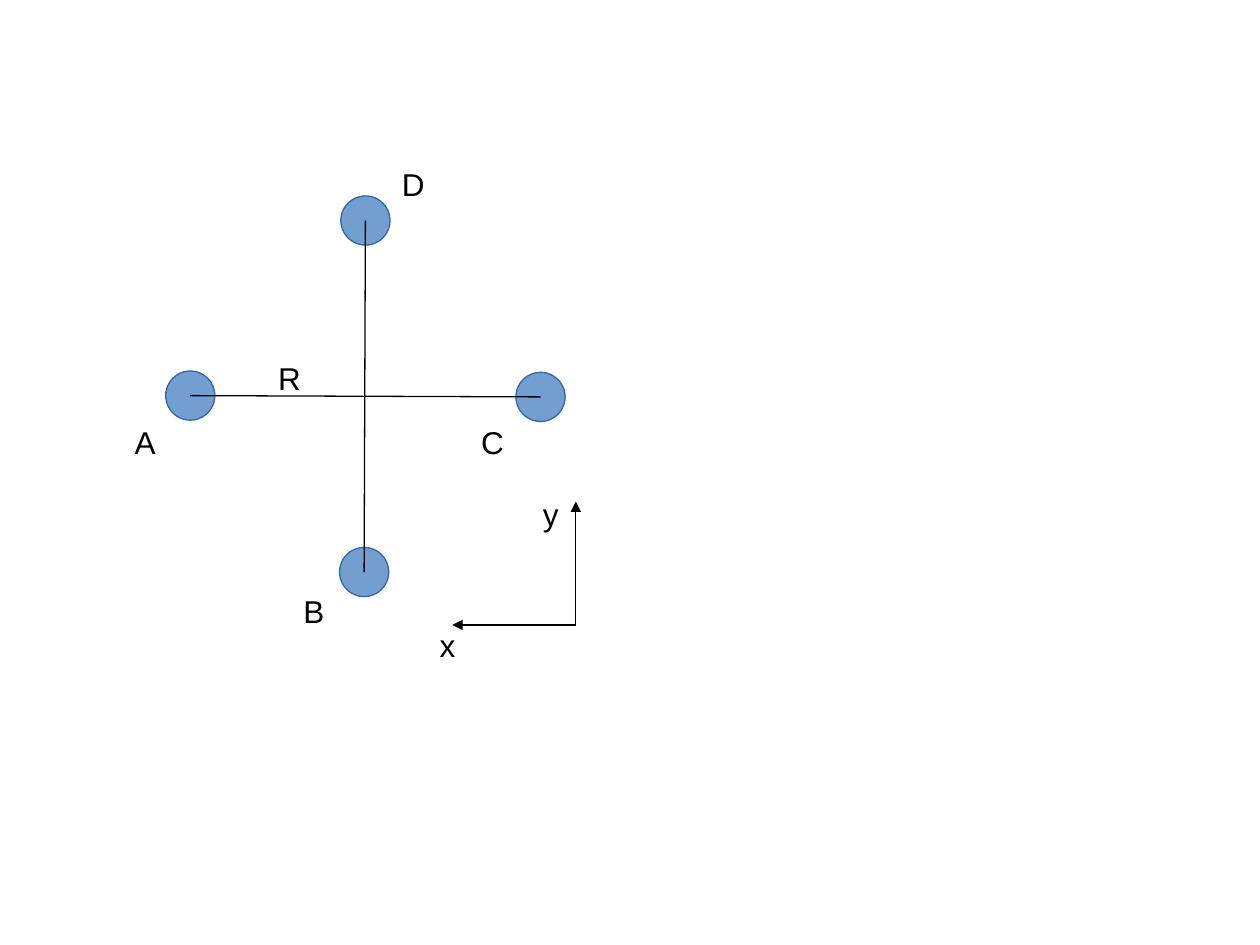
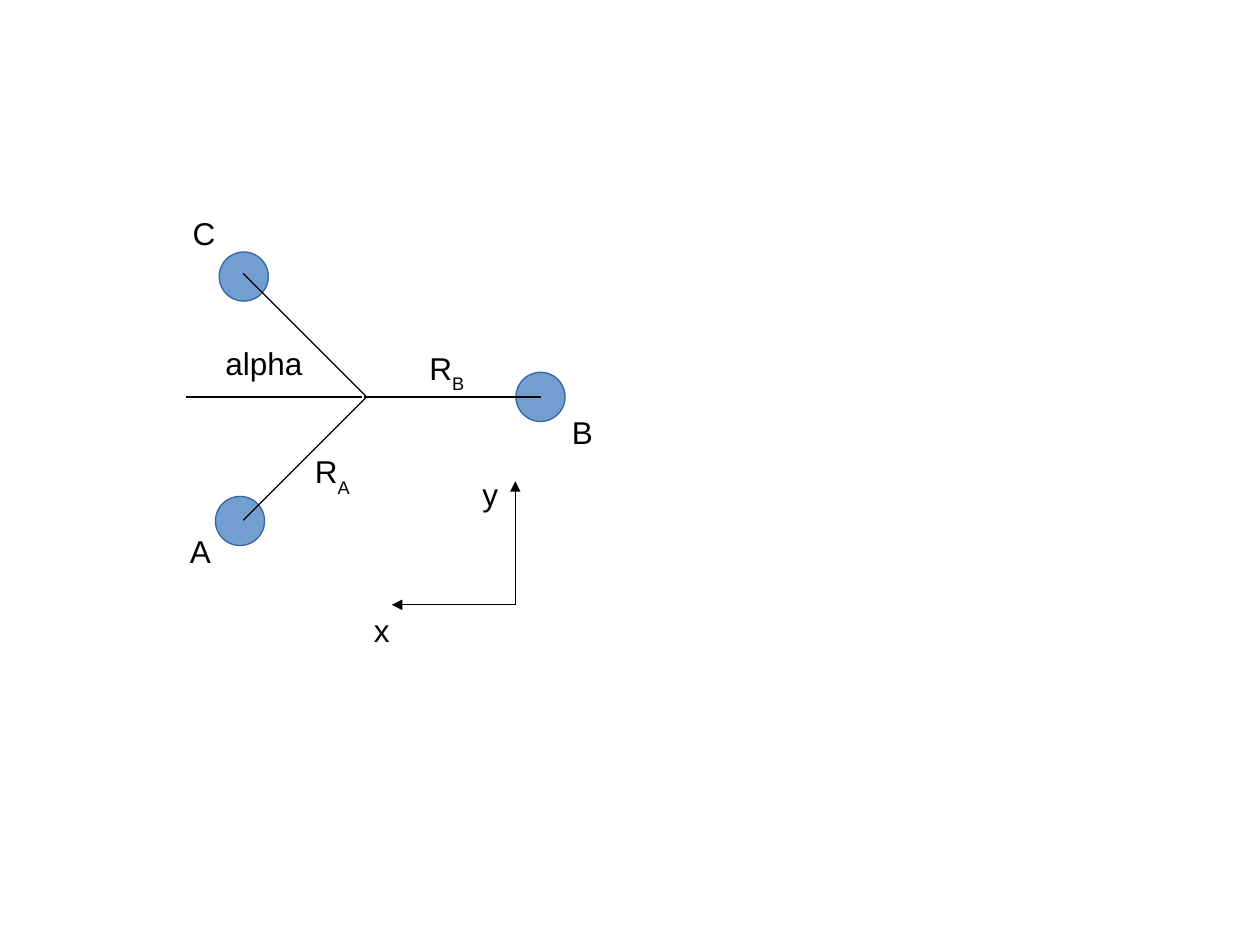
from pptx import Presentation
from pptx.dml.color import RGBColor
from pptx.enum.shapes import MSO_CONNECTOR as Link, MSO_SHAPE as Form
from pptx.oxml.ns import qn
from pptx.util import Inches, Pt
from lxml.etree import SubElement as Sub

# Grid: 100 columns by 75 rows of square cells
WIDE, HIGH, COLS = 10, 7.5, 100


def tint(code):
    return RGBColor.from_string(code)


def cell(num):
    return Inches(num * WIDE / COLS)


class Sketch:
    """Shared style and the current slide."""
    font, size, thin = "Arial", Pt(18), Pt(0.75)
    ink, fill, edge = "000000", "729FCF", "3465A4"
    disc, turn, reach = 3.9, 315.2, 9.8

    def __init__(self):
        self.deck = Presentation()
        self.deck.slide_width = Inches(WIDE)
        self.deck.slide_height = Inches(HIGH)

    def page(self):
        blank = self.deck.slide_layouts[6]
        self.shapes = self.deck.slides.add_slide(blank).shapes

    def node(self, mid):
        x, y = (cell(v - self.disc / 2) for v in mid)
        side = cell(self.disc)
        dot = self.shapes.add_shape(Form.OVAL, x, y, side, side)
        dot.rotation = self.turn
        dot.shadow.inherit = False
        dot.fill.solid()
        dot.fill.fore_color.rgb = tint(self.fill)
        dot.line.color.rgb = tint(self.edge)
        dot.line.width = self.thin

    def line(self, start, end, arrow=False):
        ends = [cell(v) for v in (*start, *end)]
        bar = self.shapes.add_connector(Link.STRAIGHT, *ends)
        bar.line.color.rgb = tint(self.ink)
        bar.line.width = self.thin
        props = bar._element.spPr
        if arrow:
            Sub(props.find(qn("a:ln")), qn("a:tailEnd"), type="triangle")
        Sub(props, qn("a:effectLst"))

    def label(self, text, x, y, wide=3.8, sub=""):
        box = self.shapes.add_textbox(cell(x), cell(y), cell(wide), cell(3.8))
        frame = box.text_frame
        frame.word_wrap = True
        para = frame.paragraphs[0]
        for part, drop in ((text, False), (sub, True)):
            if not part:
                continue
            run = para.add_run()
            run.text = part
            run.font.name, run.font.size = self.font, self.size
            run.font.color.rgb = tint(self.ink)
            if drop:
                run._r.get_or_add_rPr().set("baseline", "-33000")

    def axes(self, x, y, left, down):
        """Draw both arrows; left and down place the x label."""
        self.line((x, y), (x, y - self.reach), arrow=True)
        self.line((x, y), (x - self.reach, y), arrow=True)
        self.label("x", x - left, y + down, 4.7)
        self.label("y", x - 3.6, y - 10.8, 4.7)


art = Sketch()

# Slide 1: four nodes on a cross
art.page()
west, east = (15.1, 31.4), (42.9, 31.5)
south, north = (28.9, 45.4), (29, 17.5)
for spot in (east, south, north, west):
    art.node(spot)
art.line(west, east)
art.line(south, north)
for name, x, y, wide in (("A", 9.7, 33.1, 3.6), ("B", 23.1, 46.5, 3.6),
                         ("C", 37.2, 33.1, 3.8), ("D", 30.9, 12.6, 3.8),
                         ("R", 21.1, 28, 3.8)):
    art.label(name, x, y, wide)
art.axes(45.7, 49.6, 11.8, -0.4)

# Slide 2: three nodes on a fork with an angle
art.page()
hub = (29.1, 31.5)
for spot in (east, (19.05, 41.35), (19.35, 21.95)):
    art.node(spot)
for start, end in (((28.9, 31.5), east), ((19.3, 21.7), hub),
                   ((19.3, 41.3), hub), ((14.8, 31.5), (28.7, 31.5))):
    art.line(start, end)
for name, x, y, wide, sub in (("A", 14.1, 41.7, 3.6, ""),
                              ("B", 44.4, 32.3, 3.6, ""),
                              ("C", 14.3, 16.5, 3.8, ""),
                              ("R", 24, 35.4, 5.5, "A"),
                              ("alpha", 16.9, 26.8, 9.4, ""),
                              ("R", 33.1, 27.2, 5.5, "B")):
    art.label(name, x, y, wide, sub)
art.axes(40.9, 48, 12.2, 0)

art.deck.save("out.pptx")
